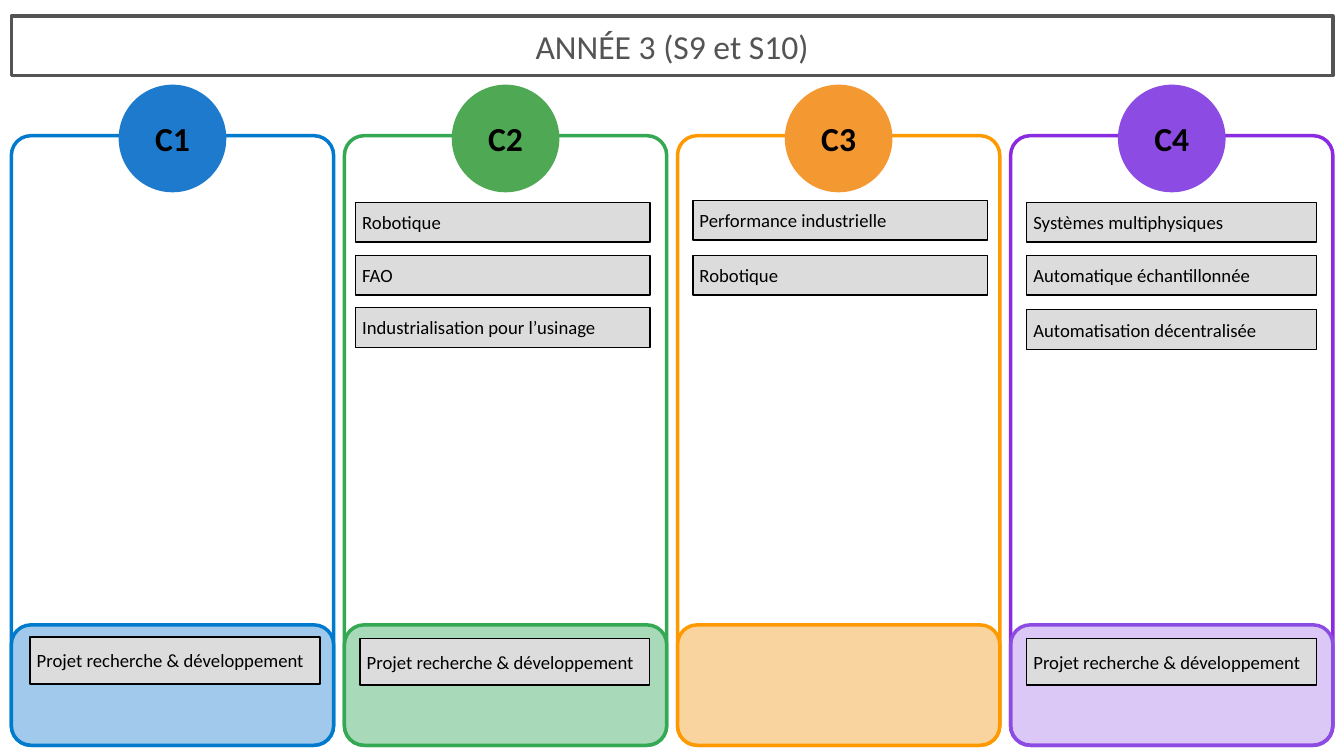
from dataclasses import dataclass
from typing import Optional

from lxml.etree import SubElement
from pptx import Presentation
from pptx.dml.color import RGBColor
from pptx.enum.shapes import MSO_SHAPE as Shp
from pptx.enum.text import MSO_ANCHOR as Anchor, MSO_AUTO_SIZE as AutoSize, PP_ALIGN as Align
from pptx.oxml.ns import qn
from pptx.util import Cm, Pt

BLACK = RGBColor(0x00, 0x00, 0x00)
GREY = RGBColor(0x54, 0x54, 0x54)
LIGHT_GREY = RGBColor(0xDD, 0xDC, 0xDC)
BLUE = RGBColor(0x00, 0x7A, 0xCC)
BLUE_DISC = RGBColor(0x1E, 0x7A, 0xCC)
BLUE_PALE = RGBColor(0xA0, 0xC9, 0xEB)
GREEN = RGBColor(0x34, 0xA8, 0x53)
GREEN_DISC = RGBColor(0x4F, 0xA9, 0x54)
GREEN_PALE = RGBColor(0xA8, 0xDA, 0xB9)
ORANGE = RGBColor(0xFF, 0x99, 0x00)
ORANGE_DISC = RGBColor(0xF4, 0x98, 0x31)
ORANGE_PALE = RGBColor(0xFA, 0xD4, 0x9E)
VIOLET = RGBColor(0x8A, 0x2B, 0xE2)
VIOLET_DISC = RGBColor(0x8C, 0x4B, 0xE2)

FONT = "Calibri"
PROJECT = "Projet recherche & développement"

# Column grid, in centimetres
LEFT, PITCH, COL_W = 0.43, 12.59, 12.18
COL_TOP, FOOT_TOP, BOTTOM = 5.13, 23.62, 28.17
RADIUS, DISC, DISC_TOP = 0.74, 3.99, 3.24
MODULE_H, PROJECT_W, PROJECT_H = 1.5, 10.95, 1.77


@dataclass
class Box:
    text: str
    left: float
    top: float
    width: float
    height: float = MODULE_H


@dataclass
class Column:
    name: str
    border: RGBColor
    disc: RGBColor
    foot_border: RGBColor
    foot_fill: RGBColor
    boxes: list[Box]
    foot_alpha: Optional[int] = None


COLUMNS = [
    Column("C1", BLUE, BLUE_DISC, BLUE, BLUE_PALE,
           [Box(PROJECT, 1.14, 24.08, PROJECT_W, PROJECT_H)]),
    Column("C2", GREEN, GREEN_DISC, GREEN, GREEN_PALE, [
        Box("Robotique", 13.44, 7.65, 11.13),
        Box("FAO", 13.44, 9.65, 11.13),
        Box("Industrialisation pour l’usinage", 13.44, 11.63, 11.13),
        Box(PROJECT, 13.61, 24.13, PROJECT_W, PROJECT_H),
    ]),
    Column("C3", ORANGE, ORANGE_DISC, ORANGE, ORANGE_PALE, [
        Box("Performance industrielle", 26.19, 7.57, 11.13),
        Box("Robotique", 26.19, 9.65, 11.13),
    ]),
    Column("C4", VIOLET, VIOLET_DISC, VIOLET_DISC, VIOLET_DISC, [
        Box("Systèmes multiphysiques", 38.81, 7.65, PROJECT_W),
        Box("Automatique échantillonnée", 38.81, 9.65, PROJECT_W),
        Box("Automatisation décentralisée", 38.81, 11.71, PROJECT_W),
        Box(PROJECT, 38.81, 24.13, PROJECT_W, PROJECT_H),
    ], foot_alpha=30),
]


def add_shape(slide, kind: Shp, left: float, top: float, width: float, height: float,
              fill: Optional[RGBColor], line: RGBColor, weight: float):
    sp = slide.shapes.add_shape(kind, Cm(left), Cm(top), Cm(width), Cm(height))
    sp.shadow.inherit = False
    if fill is None:
        sp.fill.background()
    else:
        sp.fill.solid()
        sp.fill.fore_color.rgb = fill
    sp.line.color.rgb = line
    sp.line.width = Pt(weight)
    return sp


def write(sp, text: str, size: int, color: RGBColor, align: Align, bold: bool = False) -> None:
    tf = sp.text_frame
    tf.word_wrap = True
    tf.auto_size = AutoSize.NONE
    tf.vertical_anchor = Anchor.MIDDLE
    p = tf.paragraphs[0]
    p.alignment = align
    r = p.add_run()
    r.text = text
    r.font.name = FONT
    r.font.size = Pt(size)
    r.font.bold = bold
    r.font.color.rgb = color


def add_panel(slide, left: float, top: float, fill: Optional[RGBColor], line: RGBColor):
    """Rounded panel that runs down to the common bottom edge."""
    height = BOTTOM - top
    sp = add_shape(slide, Shp.ROUNDED_RECTANGLE, left, top, COL_W, height, fill, line, 3.75)
    sp.adjustments[0] = RADIUS / min(COL_W, height)
    return sp


def set_alpha(sp, percent: int) -> None:
    color = sp._element.spPr.find(qn("a:solidFill"))[0]
    SubElement(color, qn("a:alpha")).set("val", str(percent * 1000))


def add_column(slide, index: int, col: Column) -> None:
    left = LEFT + index * PITCH
    add_panel(slide, left, COL_TOP, None, col.border)

    # Disc with the column name
    disc = add_shape(slide, Shp.OVAL, left + (COL_W - DISC) / 2, DISC_TOP, DISC, DISC,
                     col.disc, col.disc, 2.25)
    tf = disc.text_frame
    tf.margin_left = tf.margin_top = tf.margin_right = tf.margin_bottom = 0
    write(disc, col.name, 36, BLACK, Align.CENTER, bold=True)

    # Project area
    foot = add_panel(slide, left, FOOT_TOP, col.foot_fill, col.foot_border)
    if col.foot_alpha is not None:
        set_alpha(foot, col.foot_alpha)

    # Modules and project
    for box in col.boxes:
        sp = add_shape(slide, Shp.RECTANGLE, box.left, box.top, box.width, box.height,
                       LIGHT_GREY, BLACK, 1.5)
        write(sp, box.text, 20, BLACK, Align.LEFT)


def add_title(slide, text: str) -> None:
    title = slide.shapes.title
    title.left, title.top, title.width, title.height = Cm(LEFT), Cm(0.61), Cm(49.95), Cm(2.25)
    title.line.color.rgb = GREY
    title.line.width = Pt(3.75)
    write(title, text, 36, GREY, Align.CENTER)


def main() -> None:
    prs = Presentation()
    prs.slide_width, prs.slide_height = Cm(50.8), Cm(28.575)
    slide = prs.slides.add_slide(prs.slide_layouts[5])
    add_title(slide, "ANNÉE 3 (S9 et S10)")
    for index, col in enumerate(COLUMNS):
        add_column(slide, index, col)
    prs.save("out.pptx")


if __name__ == "__main__":
    main()
